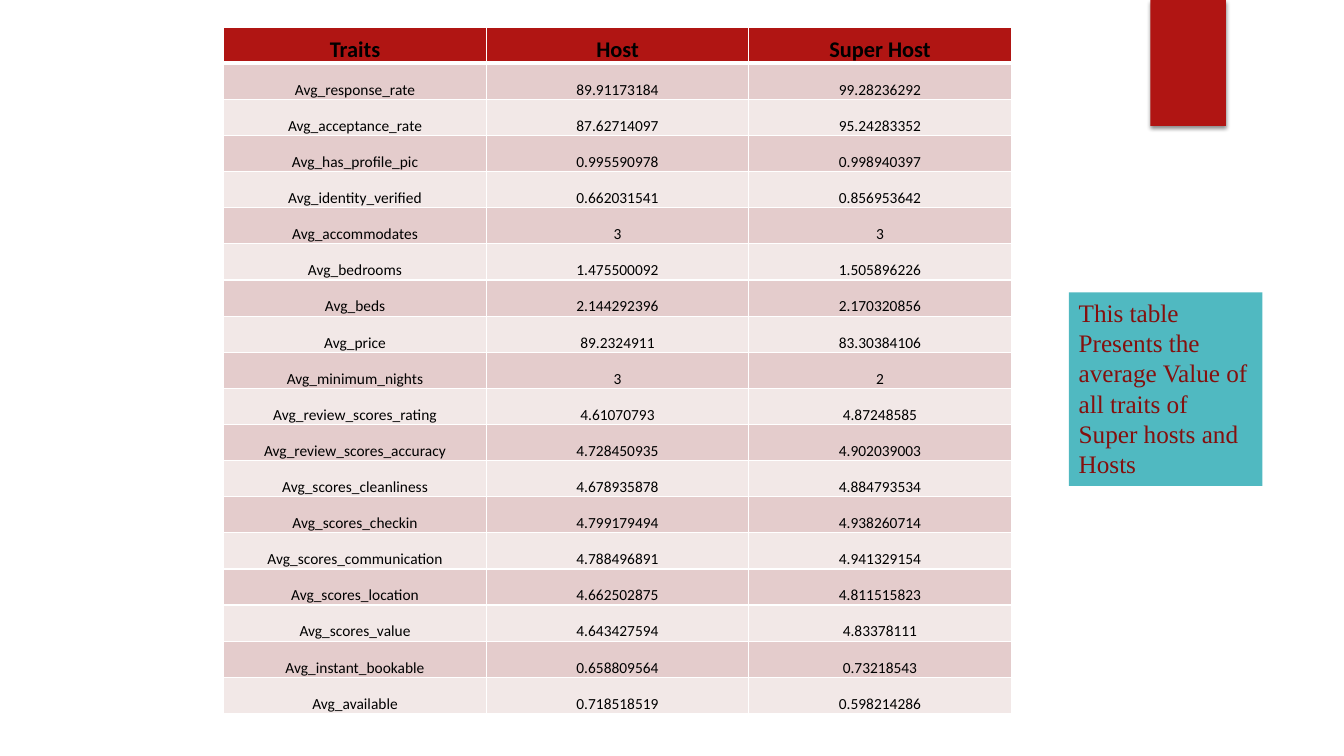
"""Build a slide with a table of host traits, a red tab and a note."""
from itertools import product
from typing import Any, NamedTuple

from lxml.etree import SubElement as sub
from pptx import Presentation as Deck
from pptx.dml.color import RGBColor as RGB
from pptx.enum.shapes import MSO_SHAPE as Kind
from pptx.enum.text import MSO_ANCHOR as Anchor, MSO_AUTO_SIZE as Fit, PP_ALIGN as Align
from pptx.oxml.ns import qn
from pptx.shapes.autoshape import Shape
from pptx.slide import Slide
from pptx.table import _Cell as Cell
from pptx.util import Emu, Pt

SCALE = 9144
HUES = {
    "red": "B01513",
    "rose": "E4CCCC",
    "blush": "F2E8E7",
    "teal": "50B9C1",
    "wine": "84100E",
    "black": "000000",
    "white": "FFFFFF",
}


class Box(NamedTuple):
    left: int
    top: int
    width: int
    height: int
    hue: str


class Trait(NamedTuple):
    name: str
    host: str
    super_host: str


TAB = Box(1141, 0, 75, 125, "red")
NOTE = Box(1060, 290, 192, 192, "teal")
GRID = Box(222, 27, 781, 681, "red")
TEXT = "This table Presents the average Value of all traits of Super hosts and Hosts"
TRAITS = [
    Trait("Traits", "Host", "Super Host"),
    Trait("Avg_response_rate", "89.91173184", "99.28236292"),
    Trait("Avg_acceptance_rate", "87.62714097", "95.24283352"),
    Trait("Avg_has_profile_pic", "0.995590978", "0.998940397"),
    Trait("Avg_identity_verified", "0.662031541", "0.856953642"),
    Trait("Avg_accommodates", "3", "3"),
    Trait("Avg_bedrooms", "1.475500092", "1.505896226"),
    Trait("Avg_beds", "2.144292396", "2.170320856"),
    Trait("Avg_price", "89.2324911", "83.30384106"),
    Trait("Avg_minimum_nights", "3", "2"),
    Trait("Avg_review_scores_rating", "4.61070793", "4.87248585"),
    Trait("Avg_review_scores_accuracy", "4.728450935", "4.902039003"),
    Trait("Avg_scores_cleanliness", "4.678935878", "4.884793534"),
    Trait("Avg_scores_checkin", "4.799179494", "4.938260714"),
    Trait("Avg_scores_communication", "4.788496891", "4.941329154"),
    Trait("Avg_scores_location", "4.662502875", "4.811515823"),
    Trait("Avg_scores_value", "4.643427594", "4.83378111"),
    Trait("Avg_instant_bookable", "0.658809564", "0.73218543"),
    Trait("Avg_available", "0.718518519", "0.598214286"),
]


def px(count: int) -> Emu:
    return Emu(count * SCALE)


def rgb(hue: str) -> RGB:
    return RGB.from_string(HUES[hue])


def place(box: Box) -> list[Emu]:
    return [px(side) for side in box[:4]]


def apply(target: Any, style: dict[str, Any]) -> None:
    for key, value in style.items():
        setattr(target, key, value)


HEAD = {"name": "Calibri", "size": Pt(16), "bold": True}
BODY = {"name": "Calibri", "size": Pt(11), "bold": False}
PLAIN = {"name": "Times New Roman", "size": Pt(18)}
INSET = {
    "margin_left": px(1),
    "margin_right": px(1),
    "margin_top": px(1),
    "margin_bottom": px(0),
    "vertical_anchor": Anchor.BOTTOM,
}
THICK = {(0, "B"), (1, "T")}


def write(frame: Any, text: str, style: dict[str, Any], hue: str, align: Align) -> None:
    line = frame.paragraphs[0]
    line.alignment = align
    run = line.add_run()
    run.text = text
    apply(run.font, style)
    run.font.color.rgb = rgb(hue)


def draw(slide: Slide, box: Box) -> Shape:
    shape = slide.shapes.add_shape(Kind.RECTANGLE, *place(box))
    shape.shadow.inherit = False
    shape.fill.solid()
    shape.fill.fore_color.rgb = rgb(box.hue)
    shape.line.fill.background()
    return shape


def shade(shape: Shape) -> None:
    effect = shape.element.spPr.find(qn("a:effectLst"))
    cast = sub(effect, qn("a:outerShdw"), blurRad=str(Pt(3)), dist=str(Pt(2)),
               dir="5400000", algn="ctr", rotWithShape="0")
    tint = sub(cast, qn("a:srgbClr"), val=HUES["black"])
    sub(tint, qn("a:alpha"), val="45000")


def edge(cell: Cell, row: int) -> None:
    props = cell._tc.get_or_add_tcPr()
    for side in "LRTB":
        width = Pt(3 if (row, side) in THICK else 1)
        line = sub(props, qn(f"a:ln{side}"), w=str(width))
        fill = sub(line, qn("a:solidFill"))
        sub(fill, qn("a:srgbClr"), val=HUES["white"])


def tabulate(slide: Slide, box: Box, traits: list[Trait]) -> None:
    rows, cols = len(traits), len(Trait._fields)
    table = slide.shapes.add_table(rows, cols, *place(box)).table
    for row, col in product(range(rows), range(cols)):
        cell = table.cell(row, col)
        apply(cell, INSET)
        edge(cell, row)
        hue = ("rose" if row % 2 else "blush") if row else box.hue
        cell.fill.solid()
        cell.fill.fore_color.rgb = rgb(hue)
        style = BODY if row else HEAD
        write(cell.text_frame, traits[row][col], style, "black", Align.CENTER)


def main() -> None:
    deck = Deck()
    apply(deck, {"slide_width": px(1333), "slide_height": px(750)})
    slide = deck.slides.add_slide(deck.slide_layouts[6])
    shade(draw(slide, TAB))
    tabulate(slide, GRID, TRAITS)
    frame = draw(slide, NOTE).text_frame
    apply(frame, {"word_wrap": True, "auto_size": Fit.SHAPE_TO_FIT_TEXT,
                  "vertical_anchor": Anchor.TOP})
    write(frame, TEXT, PLAIN, "wine", Align.LEFT)
    deck.save("out.pptx")


if __name__ == "__main__":
    main()
